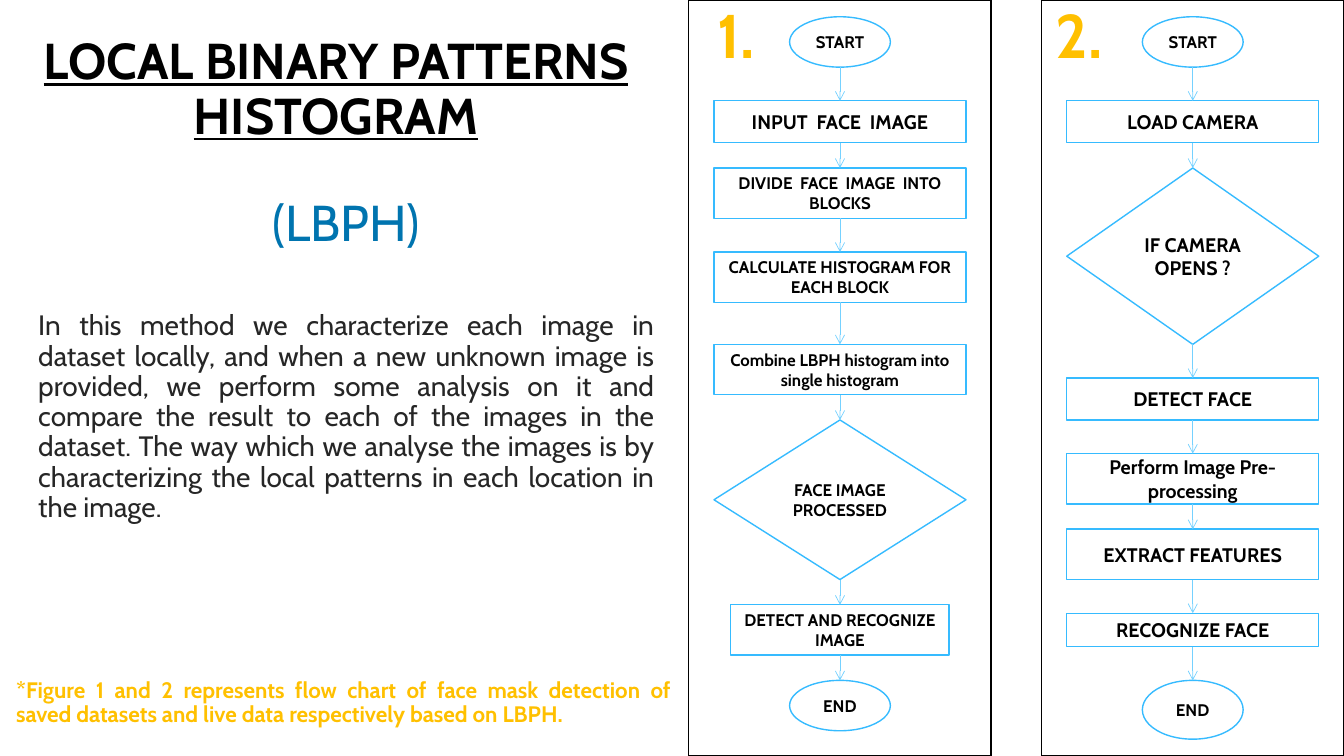
from lxml.etree import SubElement
from pptx import Presentation
from pptx.dml.color import RGBColor
from pptx.enum.shapes import MSO_CONNECTOR, MSO_SHAPE
from pptx.enum.text import MSO_ANCHOR, PP_ALIGN
from pptx.oxml.ns import qn
from pptx.util import Pt

FONT = "Cabin"
BLACK, WHITE, GOLD = "000000", "FFFFFF", "FFC000"
OVAL, BOX, DIAMOND = MSO_SHAPE.OVAL, MSO_SHAPE.RECTANGLE, MSO_SHAPE.DIAMOND

SAVED_DATA_STEPS = [
    (OVAL, "START", 12, 72, 36, 12),
    (BOX, "INPUT  FACE  IMAGE", 72, 180, 30, 14),
    (BOX, "DIVIDE  FACE  IMAGE  INTO BLOCKS", 120, 180, 36, 12),
    (BOX, "CALCULATE HISTOGRAM FOR EACH BLOCK", 180, 180, 36, 12),
    (BOX, "Combine LBPH histogram into single histogram", 246, 180, 36, 12),
    (DIAMOND, "FACE IMAGE PROCESSED", 300, 180, 114, 12),
    (BOX, "DETECT AND RECOGNIZE IMAGE", 432, 156, 36, 12),
    (OVAL, "END", 486, 72, 36, 12),
]
LIVE_DATA_STEPS = [
    (OVAL, "START", 12, 72, 36, 12),
    (BOX, "LOAD CAMERA", 72, 180, 30, 14),
    (DIAMOND, "IF CAMERA OPENS ?", 120, 180, 126, 14),
    (BOX, "DETECT FACE", 270, 180, 30, 14),
    (BOX, "Perform Image Pre-processing", 324, 180, 36, 14),
    (BOX, "EXTRACT FEATURES", 378, 180, 36, 14),
    (BOX, "RECOGNIZE FACE", 438, 180, 24, 14),
    (OVAL, "END", 486, 72, 42, 12),
]


def color(hex_code):
    return RGBColor.from_string(hex_code)


def style(paragraph, text, size, hex_code, align=PP_ALIGN.CENTER, bold=False):
    paragraph.text = text
    paragraph.alignment = align
    font = paragraph.font
    font.name, font.size, font.bold = FONT, Pt(size), bold
    font.color.rgb = color(hex_code)


def add_text_frame(slide, left, top, width, height, side_inset=7.2):
    frame = slide.shapes.add_textbox(Pt(left), Pt(top), Pt(width), Pt(height)).text_frame
    frame.word_wrap = True
    frame.margin_left = frame.margin_right = Pt(side_inset)
    return frame


def space(paragraph, before=0, after=0):
    paragraph.line_spacing = 0.9
    paragraph.space_before, paragraph.space_after = Pt(before), Pt(after)


def add_shape(slide, kind, left, top, width, height, line_color, fill_color=None):
    shape = slide.shapes.add_shape(kind, Pt(left), Pt(top), Pt(width), Pt(height))
    shape.shadow.inherit = False
    if fill_color:
        shape.fill.solid()
        shape.fill.fore_color.rgb = color(fill_color)
    else:
        shape.fill.background()
    shape.line.color.rgb = color(line_color)
    shape.line.width = Pt(1)
    return shape


def add_step(slide, center, kind, text, top, width, height, size):
    step = add_shape(slide, kind, center - width / 2, top, width, height, "36BBFF", WHITE)
    frame = step.text_frame
    frame.word_wrap = True
    frame.vertical_anchor = MSO_ANCHOR.MIDDLE
    style(frame.paragraphs[0], text, size, BLACK, bold=True)
    return step


def add_arrow(slide, center, upper, lower):
    arrow = slide.shapes.add_connector(
        MSO_CONNECTOR.STRAIGHT, Pt(center), upper.top + upper.height, Pt(center), lower.top)
    if upper.auto_shape_type != OVAL:
        arrow.begin_connect(upper, 2)
    arrow.end_connect(lower, 0)
    arrow.line.color.rgb = color("75D1FF")
    arrow.line.width = Pt(0.5)
    SubElement(arrow.line._get_or_add_ln(), qn("a:tailEnd"), type="arrow")
    SubElement(arrow._element.spPr, qn("a:effectLst"))


def add_flow_chart(slide, left, top, width, height, number, number_center, steps):
    center = left + width / 2
    add_shape(slide, BOX, left, top, width, height, BLACK)
    label = add_text_frame(slide, left + number_center - 43, top, 86, 55, 11.5).paragraphs[0]
    style(label, number, 44, GOLD, bold=True)
    space(label, before=10)
    shapes = [add_step(slide, center, kind, text, top + offset, *rest)
              for kind, text, offset, *rest in steps]
    for upper, lower in zip(shapes, shapes[1:]):
        add_arrow(slide, center, upper, lower)


def add_explanation(slide, left, top, width):
    title = add_text_frame(slide, left, top + 22.3, width - 11, 86).paragraphs[0]
    style(title, "LOCAL BINARY PATTERNS HISTOGRAM", 36, BLACK, bold=True)
    title.font.underline = True
    space(title, before=10)

    body = add_text_frame(slide, left + 20.2, top + 138.2, 454.3, 241)
    abbreviation = body.paragraphs[0]
    style(abbreviation, "(LBPH)", 36, "0074AF")
    space(abbreviation, after=30)
    method = body.add_paragraph()
    style(method, "In this method we characterize each image in dataset locally, and when a new "
          "unknown image is provided, we perform some analysis on it and compare the result to "
          "each of the images in the dataset. The way which we analyse the images is by "
          "characterizing the local patterns in each location in the image.",
          20, "262626", PP_ALIGN.JUSTIFY)
    space(method, before=12, after=6)

    caption = add_text_frame(slide, left, top + 481.7, width, 42.5, 11.5).paragraphs[0]
    style(caption, "*Figure 1 and 2 represents flow chart of face mask detection of saved "
          "datasets and live data respectively based on LBPH.",
          16, GOLD, PP_ALIGN.JUSTIFY, True)
    space(caption, before=10)


def main():
    deck = Presentation()
    deck.slide_width, deck.slide_height = Pt(960), Pt(540)
    slide = deck.slides.add_slide(deck.slide_layouts[6])
    slide.background.fill.solid()
    slide.background.fill.fore_color.rgb = color(WHITE)
    add_explanation(slide, 0, 0, 491)
    add_flow_chart(slide, 492, 0, 216, 540, "1.", 34, SAVED_DATA_STEPS)
    add_flow_chart(slide, 744, 0, 216, 540, "2.", 27, LIVE_DATA_STEPS)
    deck.save("out.pptx")


if __name__ == "__main__":
    main()
